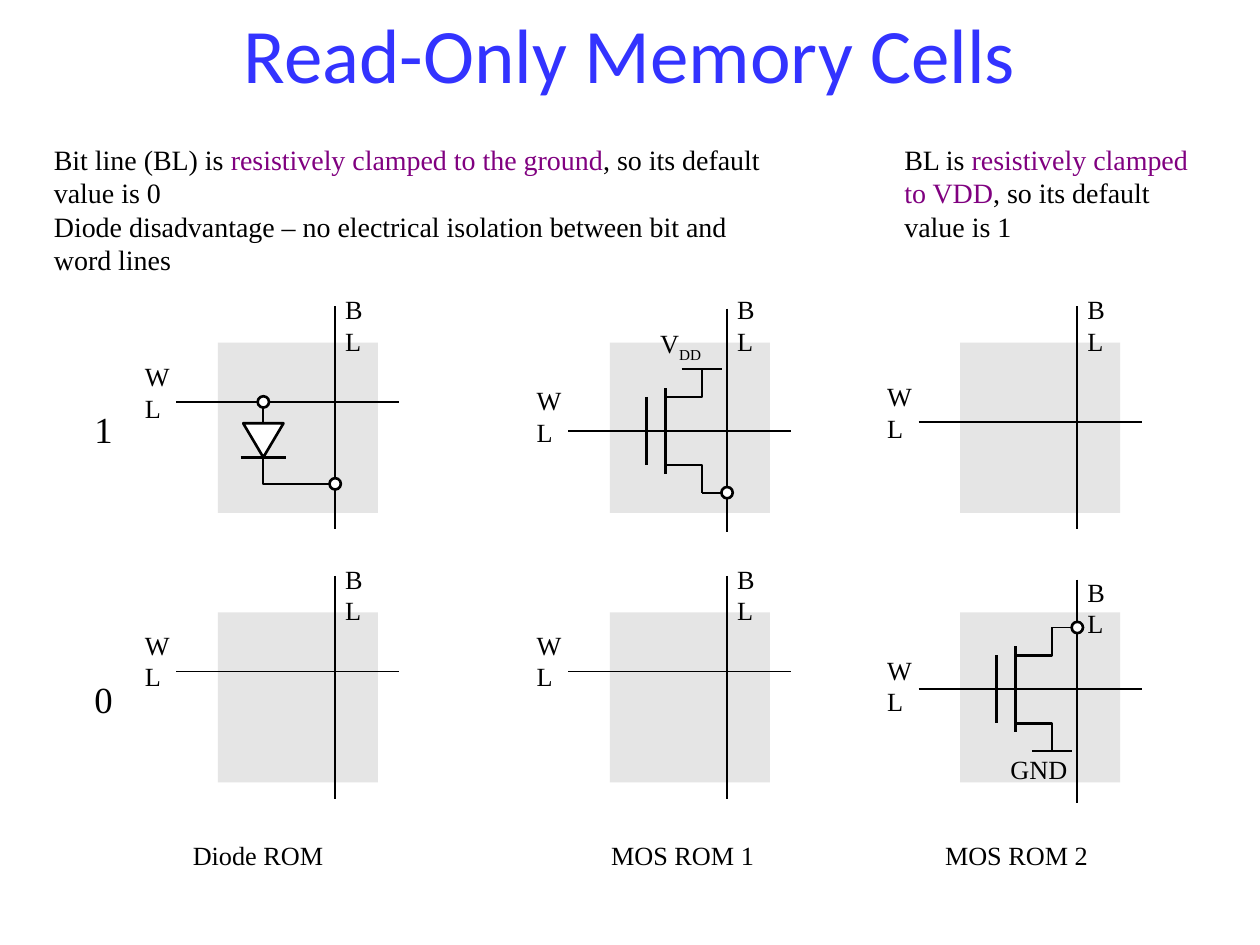
import pptx
import pptx.dml.color
import pptx.enum.shapes
import pptx.enum.text
import pptx.oxml.ns
import pptx.util
from lxml import etree

Inches, Pt = pptx.util.Inches, pptx.util.Pt
RGBColor = pptx.dml.color.RGBColor
MSO_SHAPE = pptx.enum.shapes.MSO_SHAPE
STRAIGHT = pptx.enum.shapes.MSO_CONNECTOR.STRAIGHT
MIDDLE = pptx.enum.text.MSO_ANCHOR.MIDDLE
CENTER = pptx.enum.text.PP_ALIGN.CENTER

BLACK = RGBColor(0x00, 0x00, 0x00)
WHITE = RGBColor(0xFF, 0xFF, 0xFF)
CELL_GRAY = RGBColor(0xE5, 0xE5, 0xE5)
TITLE_BLUE = RGBColor(0x33, 0x33, 0xFF)
PURPLE = RGBColor(0x80, 0x00, 0x80)

TITLE = "Read-Only Memory Cells"
NOTES = [
    ((0.33, 1.08, 6, 1.17), True, [
        [("Bit line (BL) is ", BLACK), ("resistively clamped to the ground", PURPLE),
         (", so its default value is 0", BLACK)],
        [("Diode disadvantage – no electrical isolation between bit and word lines", BLACK)],
    ]),
    ((7.08, 1.08, 2.87, 0.9), False, [
        [("BL is ", BLACK), ("resistively clamped", PURPLE)],
        [("to VDD", PURPLE), (", so its default", BLACK)],
        [("value is 1", BLACK)],
    ]),
]
COLUMN_LEFTS = [1.73, 4.84, 7.62]
ROM_NAMES = [("Diode ROM", 1.53, 1.12), ("MOS ROM 1", 4.85, 1.19), ("MOS ROM 2", 7.5, 1.19)]
STORED_BITS = [("1", 3.23), ("0", 5.37)]
CELL_ROWS = [
    (2.72, [
        {"bit_top": 2.43, "word_y": 3.19, "wl_top": 2.86, "bl_top": 2.33, "device": "diode"},
        {"bit_top": 2.45, "word_y": 3.42, "wl_top": 3.05, "bl_top": 2.33, "device": "pull-up"},
        {"bit_top": 2.43, "word_y": 3.35, "wl_top": 3.02, "bl_top": 2.33, "device": None},
    ]),
    (4.86, [
        {"bit_top": 4.57, "word_y": 5.33, "wl_top": 4.99, "bl_top": 4.47, "device": None},
        {"bit_top": 4.57, "word_y": 5.33, "wl_top": 4.99, "bl_top": 4.47, "device": None},
        {"bit_top": 4.6, "word_y": 5.47, "wl_top": 5.19, "bl_top": 4.57, "device": "pull-down"},
    ]),
]
CELL_WIDTH, CELL_HEIGHT = 1.27, 1.35
WIRE_LENGTH = 1.77
BIT_OFFSET = 0.93
DOT = 0.09
THIN, THICK = 1, 1.5
NO_INSETS = {"margin_left": 0, "margin_top": 0, "margin_right": 0, "margin_bottom": 0}

deck = pptx.Presentation()
deck.slide_width, deck.slide_height = Inches(10), Inches(7.5)
slide = deck.slides.add_slide(deck.slide_layouts[5])


def add_text(box, paragraphs, size, wrap=False, insets=NO_INSETS):
    frame = slide.shapes.add_textbox(*map(Inches, box)).text_frame
    for name, value in {"word_wrap": wrap, **insets}.items():
        setattr(frame, name, value)
    for index, runs in enumerate(paragraphs):
        paragraph = frame.add_paragraph() if index else frame.paragraphs[0]
        for text, color in runs:
            run = paragraph.add_run()
            run.text = text
            for name, value in {"name": "Times New Roman", "size": Pt(size)}.items():
                setattr(run.font, name, value)
            run.font.color.rgb = color
    return frame


def add_label(text, left, top, width, size=15, wrap=False):
    return add_text((left, top, width, size / 60), [[(text, BLACK)]], size, wrap)


def add_wire(start, end, weight=THIN):
    wire = slide.shapes.add_connector(STRAIGHT, *map(Inches, (*start, *end)))
    wire.line.color.rgb = BLACK
    wire.line.width = Pt(weight)
    etree.SubElement(wire._element.spPr, pptx.oxml.ns.qn("a:effectLst"))


def style_shape(shape, fill=None, weight=None):
    shape.shadow.inherit = False
    if fill is None:
        shape.fill.background()
    else:
        shape.fill.solid()
        shape.fill.fore_color.rgb = fill
    if weight is None:
        shape.line.fill.background()
    else:
        shape.line.color.rgb = BLACK
        shape.line.width = Pt(weight)


def add_path(points, weight, fill=None):
    start, *rest = [tuple(map(Inches, point)) for point in points]
    builder = slide.shapes.build_freeform(*start, scale=1.0)
    builder.add_line_segments(rest, close=fill is not None)
    style_shape(builder.convert_to_shape(), fill, weight)


def add_dot(x, y):
    box = (x - DOT / 2, y - DOT / 2, DOT, DOT)
    style_shape(slide.shapes.add_shape(MSO_SHAPE.OVAL, *map(Inches, box)), WHITE, THICK)


def draw_diode(left, word_y):
    x, bit_x = left + 0.36, left + BIT_OFFSET
    base_y, tip_y, out_y = word_y + 0.17, word_y + 0.44, word_y + 0.65
    add_path([(x, word_y), (x, out_y), (bit_x, out_y)], THIN)
    add_wire((x - 0.18, tip_y), (x + 0.18, tip_y), THICK)
    add_path([(x - 0.16, base_y), (x, tip_y), (x + 0.16, base_y)], THICK, WHITE)
    add_dot(x, word_y)
    add_dot(bit_x, out_y)


def draw_transistor(left, word_y, supply_side):
    gate_x, channel_x, lead_x = left + 0.29, left + 0.44, left + 0.73
    bit_x = left + BIT_OFFSET
    add_wire((left, word_y), (gate_x, word_y), THICK)
    for x, half in ((gate_x, 0.27), (channel_x, 0.34)):
        add_wire((x, word_y - half), (x, word_y + half), THICK)
    for side in (-1, 1):
        bend_y, end_y = word_y + side * 0.27, word_y + side * 0.49
        add_path([(channel_x, bend_y), (lead_x, bend_y), (lead_x, end_y)], THICK)
        if side == supply_side:
            add_wire((lead_x - 0.16, end_y), (lead_x + 0.16, end_y), THICK)
        else:
            add_wire((lead_x, end_y), (bit_x, end_y))
            add_dot(bit_x, end_y)


def draw_cell(left, top, bit_top, word_y, wl_top, bl_top, device):
    box = (left, top, CELL_WIDTH, CELL_HEIGHT)
    style_shape(slide.shapes.add_shape(MSO_SHAPE.RECTANGLE, *map(Inches, box)), CELL_GRAY)
    bit_x, word_left = left + BIT_OFFSET, left - 0.33
    add_wire((bit_x, bit_top), (bit_x, bit_top + WIRE_LENGTH))
    add_wire((word_left, word_y), (word_left + WIRE_LENGTH, word_y))
    if device == "diode":
        draw_diode(left, word_y)
    elif device == "pull-up":
        draw_transistor(left, word_y, -1)
        supply = add_label("V", left + 0.4, top - 0.12, 0.34).paragraphs[0]
        subscript = supply.add_run()
        subscript.text = "DD"
        for name, value in {"name": "Times New Roman", "size": Pt(15)}.items():
            setattr(subscript.font, name, value)
        subscript.font.color.rgb = BLACK
        subscript.font._element.set("baseline", "-25000")
    elif device == "pull-down":
        draw_transistor(left, word_y, 1)
        add_label("GND", left + 0.4, top + 1.12, 0.46)
    add_label("WL", left - 0.58, wl_top, 0.31, wrap=True)
    add_label("BL", left + 1.01, bl_top, 0.26, wrap=True)


title = slide.shapes.title
for name, value in {"left": 0.75, "top": 0, "width": 8.5, "height": 0.83}.items():
    setattr(title, name, Inches(value))
title.text_frame.text = TITLE
title.text_frame.vertical_anchor = MIDDLE
heading = title.text_frame.paragraphs[0]
heading.alignment = CENTER
for name, value in {"name": "Calibri", "size": Pt(44)}.items():
    setattr(heading.runs[0].font, name, value)
heading.runs[0].font.color.rgb = TITLE_BLUE

for top, cells in CELL_ROWS:
    for left, cell in zip(COLUMN_LEFTS, cells):
        draw_cell(left, top, **cell)
for bit, top in STORED_BITS:
    add_label(bit, 0.75, top, 0.16, size=21)
for rom_name, left, width in ROM_NAMES:
    add_label(rom_name, left, 6.66, width)
for box, wrap, paragraphs in NOTES:
    add_text(box, paragraphs, 16, wrap, {})

deck.save("out.pptx")
